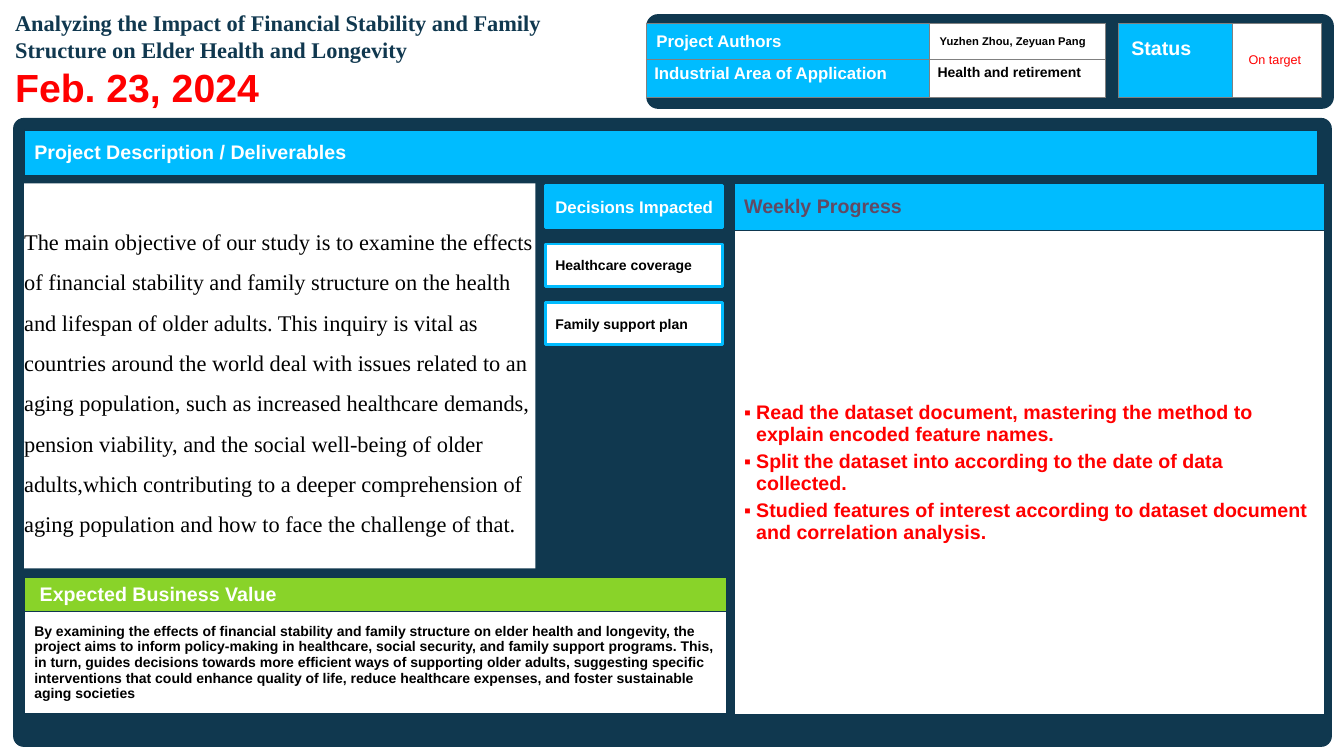
from lxml import etree
from pptx import Presentation
from pptx.dml.color import RGBColor
from pptx.enum.shapes import MSO_SHAPE as Shape
from pptx.enum.text import MSO_ANCHOR as Anchor, MSO_AUTO_SIZE as AutoSize, PP_ALIGN as Align
from pptx.oxml.ns import qn
from pptx.util import Inches, Pt

NAVY = RGBColor(0x10, 0x38, 0x4F)
EDGE = RGBColor(0x0E, 0x37, 0x4F)
GRAY = RGBColor(0x80, 0x80, 0x80)
CYAN = RGBColor(0x00, 0xBC, 0xFF)
GREEN = RGBColor(0x89, 0xD3, 0x29)
PLUM = RGBColor(0x62, 0x49, 0x63)
RED = RGBColor(0xFF, 0x00, 0x00)
WHITE = RGBColor(0xFF, 0xFF, 0xFF)
BLACK = RGBColor(0x00, 0x00, 0x00)
SANS, SERIF = "Arial", "Times New Roman"

# Content
HEADLINE = "Analyzing the Impact of Financial Stability and Family Structure on Elder Health and Longevity"
REPORT_DATE = "Feb. 23, 2024"
OBJECTIVE = (
    "The main objective of our study is to examine the effects of financial stability and family "
    "structure on the health and lifespan of older adults. This inquiry is vital as countries around "
    "the world deal with issues related to an aging population, such as increased healthcare demands, "
    "pension viability, and the social well-being of older adults,which contributing to a deeper "
    "comprehension of aging population and how to face the challenge of that."
)
BUSINESS_VALUE = (
    "By examining the effects of financial stability and family structure on elder health and "
    "longevity, the project aims to inform policy-making in healthcare, social security, and family "
    "support programs. This, in turn, guides decisions towards more efficient ways of supporting older "
    "adults, suggesting specific interventions that could enhance quality of life, reduce healthcare "
    "expenses, and foster sustainable aging societies"
)
PROGRESS = [
    "Read the dataset document, mastering the method to explain encoded feature names.",
    "Split the dataset into according to the date of data collected.",
    "Studied features of interest according to dataset document and correlation analysis.",
]
DECISIONS = ["Decisions Impacted", "Healthcare coverage", "Family support plan"]

# Grid: edges of the columns and rows, in inches
LEFT, MIDDLE, RIGHT = 0.24, 5.41, 7.28
HEADER_TOP, BANNER_TOP, BODY_TOP, VALUE_TOP = 0.23, 1.29, 1.82, 5.73
DECISION_SIZE, DECISION_PITCH = (1.76, 0.42), 0.58

# Cells: text, fill and format values
HEAD = dict(size=14, color=WHITE)
LABEL = dict(size=12, color=WHITE)
LOWER = dict(anchor=Anchor.TOP, margins=(0.08, 0.05, 0.1, 0.05))
TABLES = [
    dict(at=(LEFT, BANNER_TOP), cols=[12.83], rows=[0.45], border=(EDGE, 0.75),
         cells=[[("Project Description / Deliverables", CYAN, HEAD)]]),
    dict(at=(LEFT, VALUE_TOP), cols=[6.97], rows=[0.34, 1.01], border=(EDGE, 0.75),
         cells=[[(" Expected Business Value", GREEN, HEAD)],
                [(BUSINESS_VALUE, WHITE, dict(size=10))]]),
    dict(at=(RIGHT, BODY_TOP), cols=[5.86], rows=[0.47, 4.8], border=(EDGE, 0.75),
         cells=[[("Weekly Progress", CYAN, dict(size=14, color=PLUM))],
                [(PROGRESS, WHITE, dict(size=14, color=RED, bullet="▪"))]]),
    dict(at=(6.41, HEADER_TOP), cols=[2.81, 1.74], rows=[0.36, 0.38], border=(GRAY, 0.5),
         cells=[[("Project Authors", CYAN, LABEL),
                 ("Yuzhen Zhou, Zeyuan Pang", WHITE, dict(size=8))],
                [("Industrial Area of Application", CYAN, LABEL | LOWER),
                 ("Health and retirement", WHITE, dict(size=10) | LOWER)]]),
    dict(at=(11.09, HEADER_TOP), cols=[1.13, 0.88], rows=[0.74], border=(GRAY, 0.5),
         cells=[[("Status", CYAN, HEAD | dict(anchor=Anchor.TOP, margins=(0.13, 0.14, 0.13, 0.05))),
                 ("On target", WHITE, dict(size=9, color=RED, bold=False, align=Align.CENTER))]]),
]


def style_font(font, size, color=BLACK, bold=True, name=SANS):
    for key, value in dict(size=Pt(size), bold=bold, name=name).items():
        setattr(font, key, value)
    font.color.rgb = color


def set_margins(holder, margins):
    for side, margin in zip(("left", "top", "right", "bottom"), margins):
        setattr(holder, f"margin_{side}", Inches(margin))


def write(frame, lines, align=Align.LEFT, bullet=None, spacing=None, **font):
    for i, line in enumerate([lines] if isinstance(lines, str) else lines):
        para = frame.add_paragraph() if i else frame.paragraphs[0]
        para.alignment = align
        if spacing:
            para.line_spacing = spacing
        run = para.add_run()
        run.text = line
        style_font(run.font, **font)
        if bullet:
            para.space_after = Pt(3.5)
            props = para._p.get_or_add_pPr()
            props.set("marL", str(Inches(0.12)))
            props.set("indent", str(-Inches(0.12)))
            etree.SubElement(props, qn("a:buFont")).set("typeface", SANS)
            etree.SubElement(props, qn("a:buChar")).set("char", bullet)


def set_borders(cell, color, width):
    props = cell._tc.get_or_add_tcPr()
    for i, side in enumerate("LRTB"):
        line = etree.Element(qn(f"a:ln{side}"), w=str(Pt(width)))
        fill = etree.SubElement(line, qn("a:solidFill"))
        etree.SubElement(fill, qn("a:srgbClr")).set("val", str(color))
        props.insert(i, line)


def add_box(slide, kind, at, size, fill, outline=None):
    box = slide.shapes.add_shape(kind, *map(Inches, at + size))
    box.shadow.inherit = False
    box.fill.solid()
    box.fill.fore_color.rgb = fill
    if outline:
        box.line.color.rgb = outline
        box.line.width = Pt(2)
    else:
        box.line.fill.background()
    box.text_frame.word_wrap = True
    box.text_frame.vertical_anchor = Anchor.MIDDLE
    return box


def add_grid(slide, at, cols, rows, border, cells):
    size = (sum(cols), sum(rows))
    table = slide.shapes.add_table(len(rows), len(cols), *map(Inches, at + size)).table
    table.first_row = table.horz_banding = False
    for column, width in zip(table.columns, cols):
        column.width = Inches(width)
    for r, height in enumerate(rows):
        table.rows[r].height = Inches(height)
        for c, (text, fill, formats) in enumerate(cells[r]):
            cell = table.cell(r, c)
            formats = dict(formats)
            cell.vertical_anchor = formats.pop("anchor", Anchor.MIDDLE)
            set_margins(cell, formats.pop("margins", (0.1, 0.04, 0.13, 0.04)))
            cell.fill.solid()
            cell.fill.fore_color.rgb = fill
            set_borders(cell, *border)
            write(cell.text_frame, text, **formats)


def main():
    deck = Presentation()
    deck.slide_width, deck.slide_height = Inches(13.33), Inches(7.5)
    slide = deck.slides.add_slide(deck.slide_layouts[5])

    # Title and date
    title = slide.shapes.title
    title.left, title.top, title.width, title.height = map(Inches, (0.15, 0.09, 5.9, 1))
    frame = title.text_frame
    frame.auto_size = AutoSize.NONE
    frame.vertical_anchor = Anchor.TOP
    set_margins(frame, (0, 0, 0, 0))
    write(frame, HEADLINE, size=16, color=NAVY, name=SERIF)
    heading = frame.paragraphs[0]
    heading.add_line_break()
    date = heading.add_run()
    date.text = REPORT_DATE
    style_font(date.font, 28, RED)

    # Rounded panels
    for at, size, rounding in [((0.13, 1.17), (13.08, 6.24), 0.017),
                               ((6.41, 0.14), (6.82, 0.94), 0.124)]:
        add_box(slide, Shape.ROUNDED_RECTANGLE, at, size, NAVY).adjustments[0] = rounding

    # Tables
    for table in TABLES:
        add_grid(slide, **table)

    # Objective
    objective = add_box(slide, Shape.RECTANGLE, (LEFT, BODY_TOP), (5.07, 3.82), WHITE).text_frame
    set_margins(objective, (0, 0, 0, 0))
    write(objective, OBJECTIVE, spacing=1.5, size=16, bold=False, name=SERIF)

    # Decisions: a heading, then one box each
    for i, decision in enumerate(DECISIONS):
        at = (MIDDLE, BODY_TOP + 0.02 + i * DECISION_PITCH)
        box = add_box(slide, Shape.RECTANGLE, at, DECISION_SIZE, WHITE if i else CYAN, CYAN)
        set_margins(box.text_frame, (0.1, 0.05, 0.05, 0.05))
        write(box.text_frame, decision, **(dict(size=10) if i else LABEL))

    deck.save("out.pptx")


if __name__ == "__main__":
    main()
